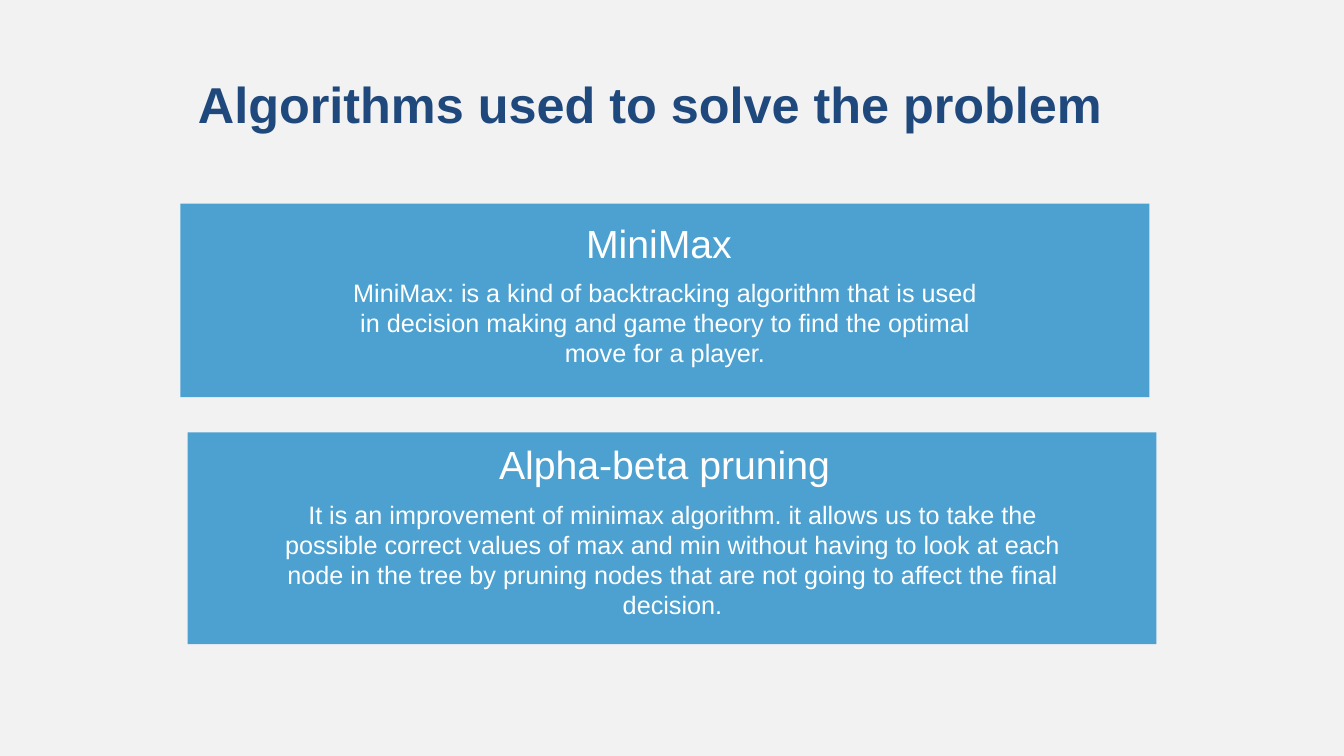
from dataclasses import dataclass

from lxml.etree import SubElement
from pptx import Presentation
from pptx.dml.color import RGBColor
from pptx.enum.shapes import MSO_SHAPE
from pptx.enum.text import MSO_ANCHOR, MSO_AUTO_SIZE, PP_ALIGN
from pptx.oxml.ns import qn
from pptx.slide import Slide
from pptx.text.text import TextFrame
from pptx.util import Inches, Pt


@dataclass(frozen=True)
class Theme:
    font: str = "Arial"
    background: RGBColor = RGBColor(0xF2, 0xF2, 0xF2)
    title: RGBColor = RGBColor(0x1F, 0x49, 0x7D)
    panel: RGBColor = RGBColor(0x06, 0x80, 0xC3)
    panel_opacity: int = 70
    panel_text: RGBColor = RGBColor(0xFF, 0xFF, 0xFF)
    title_size: int = 36
    heading_size: int = 28
    body_size: int = 18


@dataclass(frozen=True)
class Box:
    left: float
    top: float
    width: float
    height: float

    def lengths(self) -> tuple[Inches, Inches, Inches, Inches]:
        return (Inches(self.left), Inches(self.top),
                Inches(self.width), Inches(self.height))


@dataclass(frozen=True)
class Algorithm:
    name: str
    description: str
    panel: Box
    name_box: Box
    description_box: Box


THEME = Theme()
TITLE_BOX = Box(1.5, 0.67, 9.9, 0.71)
ALGORITHMS = [
    Algorithm(
        "MiniMax",
        "MiniMax: is a kind of backtracking algorithm that is used in decision "
        "making and game theory to find the optimal move for a player.",
        Box(1.79, 2.02, 9.61, 1.92),
        Box(4.61, 2.13, 3.85, 0.57),
        Box(3.39, 2.7, 6.41, 1.01),
    ),
    Algorithm(
        "Alpha-beta pruning",
        "It is an improvement of minimax algorithm. it allows us to take the "
        "possible correct values of max and min without having to look at each "
        "node in the tree by pruning nodes that are not going to affect the "
        "final decision.",
        Box(1.86, 4.29, 9.61, 2.1),
        Box(2.64, 4.32, 7.9, 0.57),
        Box(2.72, 4.9, 7.9, 1.31),
    ),
]


def write_text(frame: TextFrame, text: str, size: int, color: RGBColor,
               bold: bool = False) -> None:
    frame.text = text
    frame.word_wrap = True
    frame.auto_size = MSO_AUTO_SIZE.SHAPE_TO_FIT_TEXT
    paragraph = frame.paragraphs[0]
    paragraph.alignment = PP_ALIGN.CENTER
    font = paragraph.runs[0].font
    font.name = THEME.font
    font.size = Pt(size)
    font.bold = bold
    font.color.rgb = color


def add_title(slide: Slide, text: str) -> None:
    title = slide.shapes.title
    title.left, title.top, title.width, title.height = TITLE_BOX.lengths()
    write_text(title.text_frame, text, THEME.title_size, THEME.title, bold=True)
    title.text_frame.vertical_anchor = MSO_ANCHOR.MIDDLE


def add_panel(slide: Slide, box: Box) -> None:
    panel = slide.shapes.add_shape(MSO_SHAPE.RECTANGLE, *box.lengths())
    panel.shadow.inherit = False
    panel.line.fill.background()
    panel.fill.solid()
    panel.fill.fore_color.rgb = THEME.panel
    # Transparency
    color = panel.fill._xPr.find(qn("a:solidFill")).find(qn("a:srgbClr"))
    SubElement(color, qn("a:alpha")).set("val", str(THEME.panel_opacity * 1000))


def add_label(slide: Slide, box: Box, text: str, size: int) -> None:
    label = slide.shapes.add_textbox(*box.lengths())
    write_text(label.text_frame, text, size, THEME.panel_text)


def add_algorithm(slide: Slide, algorithm: Algorithm) -> None:
    add_panel(slide, algorithm.panel)
    add_label(slide, algorithm.name_box, algorithm.name, THEME.heading_size)
    add_label(slide, algorithm.description_box, algorithm.description,
              THEME.body_size)


def main() -> None:
    presentation = Presentation()
    presentation.slide_width = Inches(13.33)
    presentation.slide_height = Inches(7.5)

    # Title Only layout on a light grey background
    slide = presentation.slides.add_slide(presentation.slide_layouts[5])
    slide.background.fill.solid()
    slide.background.fill.fore_color.rgb = THEME.background

    # Title and algorithm panels
    add_title(slide, "Algorithms used to solve the problem")
    for algorithm in ALGORITHMS:
        add_algorithm(slide, algorithm)

    presentation.save("out.pptx")


if __name__ == "__main__":
    main()
